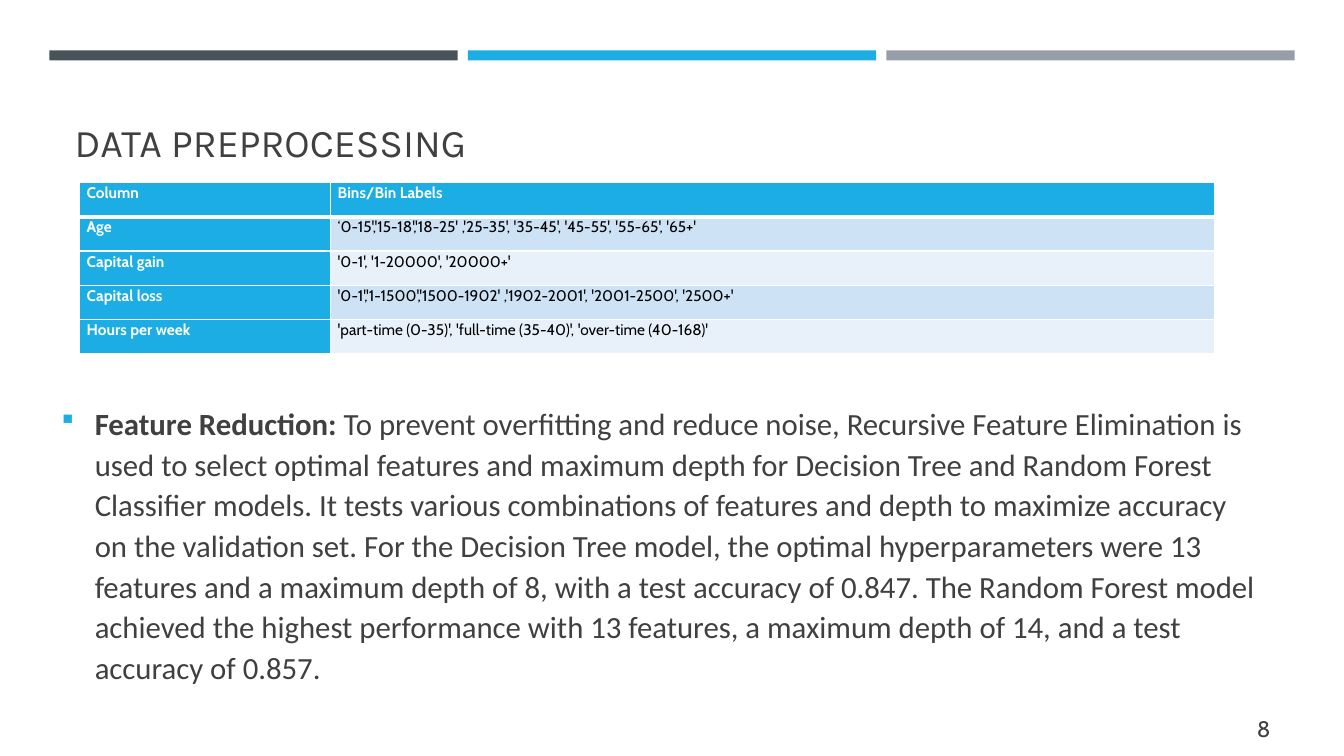
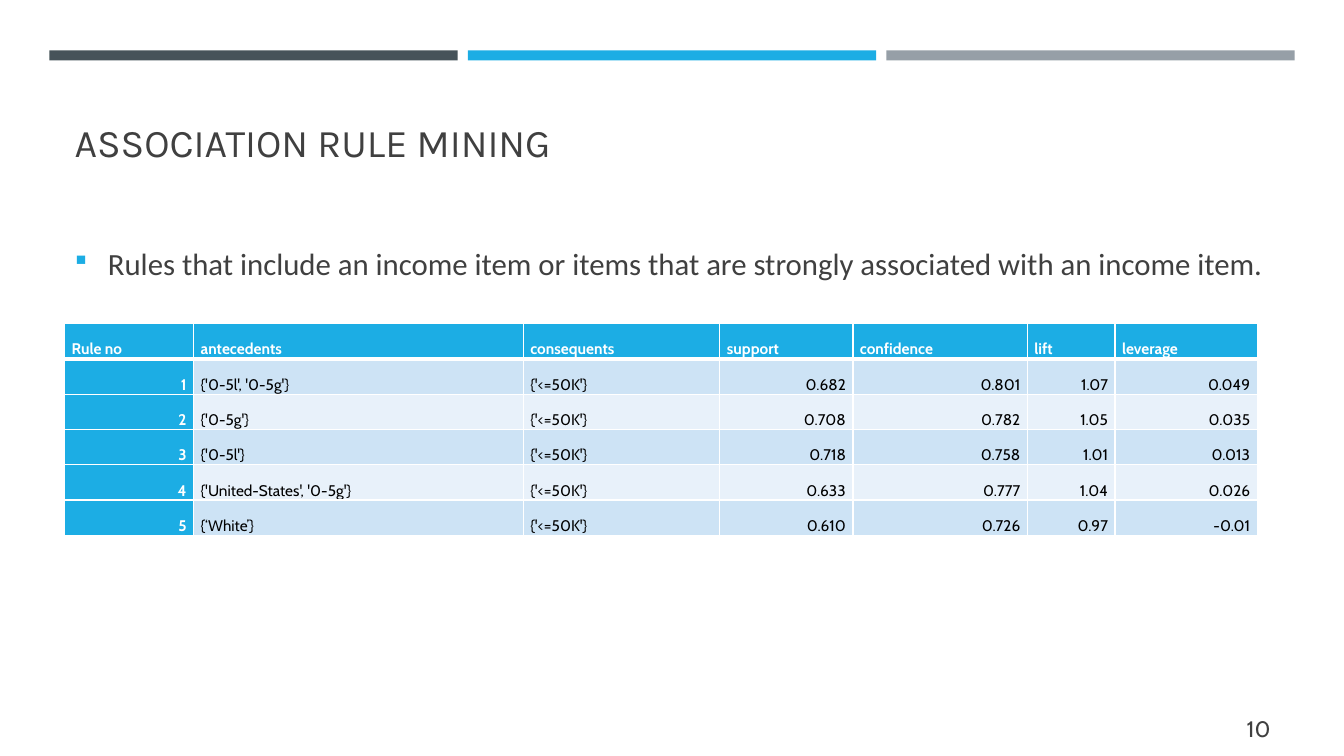
from dataclasses import dataclass
from itertools import product

from lxml import etree
from pptx import Presentation, util as u
from pptx.dml.color import RGBColor
from pptx.enum import shapes, text
from pptx.oxml import ns

HUE = {
    "slate": "465359",
    "blue": "1CADE4",
    "gray": "969FA7",
    "ink": "404040",
    "black": "000000",
    "white": "FFFFFF",
    "band": "CDE3F5",
    "pale": "E8F1FA",
}
LEFT, RIGHT = text.PP_ALIGN.LEFT, text.PP_ALIGN.RIGHT
TOP, MID, LOW = text.MSO_ANCHOR.TOP, text.MSO_ANCHOR.MIDDLE, text.MSO_ANCHOR.BOTTOM


@dataclass(frozen=True)
class Box:
    x: float
    y: float
    w: float
    h: float

    def place(self) -> tuple:
        return tuple(u.Inches(v) for v in (self.x, self.y, self.w, self.h))


@dataclass(frozen=True)
class Bar:
    box: Box
    hue: str


@dataclass(frozen=True)
class Run:
    words: str
    bold: bool = False


@dataclass(frozen=True)
class Grid:
    x: float
    y: float
    cols: tuple
    high: float
    space: float
    rows: tuple
    anchor: text.MSO_ANCHOR = TOP
    right: tuple = ()


@dataclass(frozen=True)
class Page:
    title: str
    num: str
    body: Box
    foot: float
    runs: tuple
    grid: Grid


BARS = tuple(
    Bar(Box(0.49 + 4.15 * i, 0.5, 4.05, 0.1), hue)
    for i, hue in enumerate(("slate", "blue", "gray"))
)
TITLE = Box(0.64, 0.95, 12.06, 0.74)
NUM = Box(11.55, 7.03, 1.15, 0.4)

PAGES = (
    Page(
        "DATA PREPROCESSING",
        "8",
        Box(0.51, 4.15, 12.06, 2.88),
        0.45,
        (
            Run("Feature Reduction: ", True),
            Run(
                "To prevent overfitting and reduce noise, Recursive Feature Elimination is used "
                "to select optimal features and maximum depth for Decision Tree and Random Forest "
                "Classifier models. It tests various combinations of features and depth to "
                "maximize accuracy on the validation set. For the Decision Tree model, the "
                "optimal hyperparameters were 13 features and a maximum depth of 8, with a test "
                "accuracy of 0.847. The Random Forest model achieved the highest performance "
                "with 13 features, a maximum depth of 14, and a test accuracy of 0.857."
            ),
        ),
        Grid(
            0.79, 1.81, (2.49, 8.77), 0.34, 1.07,
            (
                ("Column", "Bins/Bin Labels"),
                ("Age", "‘0-15','15-18','18-25' ,'25-35', '35-45', '45-55', '55-65', '65+'"),
                ("Capital gain", "'0-1', '1-20000', '20000+'"),
                ("Capital loss", "'0-1','1-1500','1500-1902' ,'1902-2001', '2001-2500', '2500+'"),
                ("Hours per week", "'part-time (0-35)', 'full-time (35-40)', 'over-time (40-168)'"),
            ),
        ),
    ),
    Page(
        "ASSOCIATION RULE MINING",
        "10",
        Box(0.64, 2.26, 12.06, 1.19),
        0.57,
        (Run("Rules that include an income item or items that are strongly associated with an income item."),),
        Grid(
            0.64, 3.21, (1.28, 3.27, 1.95, 1.32, 1.73, 0.87, 1.41), 0.35, 1.15,
            (
                ("Rule no", "antecedents", "consequents", "support", "confidence", "lift", "leverage"),
                ("1", "{'0-5l', '0-5g'}", "{'<=50K'}", "0.682", "0.801", "1.07", "0.049"),
                ("2", "{'0-5g'}", "{'<=50K'}", "0.708", "0.782", "1.05", "0.035"),
                ("3", "{'0-5l'}", "{'<=50K'}", "0.718", "0.758", "1.01", "0.013"),
                ("4", "{'United-States', '0-5g'}", "{'<=50K'}", "0.633", "0.777", "1.04", "0.026"),
                ("5", "{‘White’}", "{'<=50K'}", "0.610", "0.726", "0.97", "-0.01"),
            ),
            LOW,
            (0, 3, 4, 5, 6),
        ),
    ),
)


def rgb(hue: str) -> RGBColor:
    return RGBColor.from_string(HUE[hue])


def write(par, words: str, *, font="Cabin", size=11, hue="ink", bold=False,
          align=LEFT, space=None) -> None:
    run = par.add_run()
    run.text = words
    run.font.name = font
    run.font.size = u.Pt(size)
    run.font.bold = bold
    run.font.color.rgb = rgb(hue)
    par.alignment = align
    if space:
        par.line_spacing = space


def frame(shape, box: Box, anchor):
    shape.left, shape.top, shape.width, shape.height = box.place()
    area = shape.text_frame
    area.word_wrap = True
    area.auto_size = text.MSO_AUTO_SIZE.NONE
    area.vertical_anchor = anchor
    return area


def node(base, tag: str, **attrs: str):
    return etree.SubElement(base, ns.qn(tag), attrs)


def bullet(par) -> None:
    par.space_before = u.Pt(4.4)
    par.space_after = u.Pt(6)
    props = par._p.get_or_add_pPr()
    props.set("marL", str(u.Inches(0.33)))
    props.set("indent", str(u.Inches(-0.33)))
    node(node(props, "a:buClr"), "a:srgbClr", val=HUE["blue"])
    node(props, "a:buSzPct", val="92000")
    node(props, "a:buFont", typeface="Wingdings")
    node(props, "a:buChar", char="§")


def edge(cell, row: int) -> None:
    props = cell._tc.get_or_add_tcPr()
    thick = {"T": row == 1, "B": row == 0}
    for side in "LRTB":
        width = u.Pt(3 if thick.get(side) else 1)
        line = node(props, f"a:ln{side}", w=str(width))
        node(node(line, "a:solidFill"), "a:srgbClr", val=HUE["white"])


def draw_bar(slide, bar: Bar) -> None:
    rect = slide.shapes.add_shape(shapes.MSO_SHAPE.RECTANGLE, *bar.box.place())
    rect.shadow.inherit = False
    rect.fill.solid()
    rect.fill.fore_color.rgb = rgb(bar.hue)
    rect.line.fill.background()


def draw_grid(slide, grid: Grid) -> None:
    count = len(grid.rows)
    box = Box(grid.x, grid.y, sum(grid.cols), grid.high * count)
    table = slide.shapes.add_table(count, len(grid.cols), *box.place()).table
    for col, width in zip(table.columns, grid.cols):
        col.width = u.Inches(width)
    for row in table.rows:
        row.height = u.Inches(grid.high)
    for r, c in product(range(count), range(len(grid.cols))):
        cell = table.cell(r, c)
        head = r == 0 or c == 0
        cell.margin_left = cell.margin_right = u.Inches(0.07)
        cell.margin_top = cell.margin_bottom = 0
        cell.vertical_anchor = grid.anchor
        edge(cell, r)
        cell.fill.solid()
        cell.fill.fore_color.rgb = rgb("blue" if head else "band" if r % 2 else "pale")
        write(
            cell.text_frame.paragraphs[0],
            grid.rows[r][c],
            hue="white" if head else "black",
            bold=head,
            align=RIGHT if r and c in grid.right else LEFT,
            space=grid.space,
        )


def draw_page(deck, page: Page) -> None:
    slide = deck.slides.add_slide(deck.slide_layouts[1])
    for bar in BARS:
        draw_bar(slide, bar)
    head = frame(slide.shapes.title, TITLE, LOW)
    write(head.paragraphs[0], page.title, font="Karla", size=28)
    body = frame(slide.placeholders[1], page.body, MID)
    body.margin_bottom = u.Inches(page.foot)
    par = body.paragraphs[0]
    for run in page.runs:
        write(par, run.words, font="Calibri", size=22, bold=run.bold, space=1.1)
    bullet(par)
    draw_grid(slide, page.grid)
    num = frame(slide.shapes.add_textbox(*NUM.place()), NUM, MID)
    write(num.paragraphs[0], page.num, size=16, align=RIGHT)


def main() -> None:
    deck = Presentation()
    deck.slide_width, deck.slide_height = u.Inches(13.33), u.Inches(7.5)
    for page in PAGES:
        draw_page(deck, page)
    deck.save("out.pptx")


if __name__ == "__main__":
    main()
